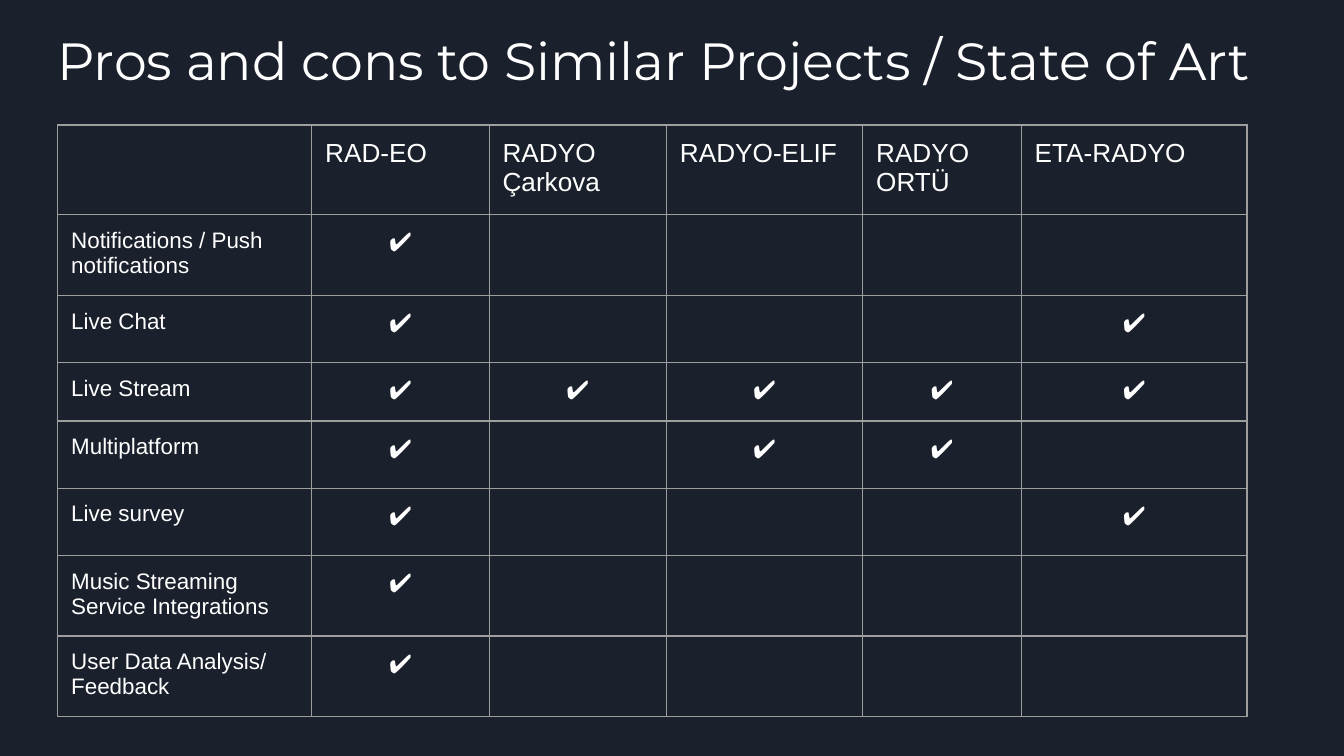
from dataclasses import dataclass

from lxml.etree import SubElement
from pptx import Presentation
from pptx.dml.color import RGBColor
from pptx.enum.text import MSO_ANCHOR, PP_ALIGN as Align
from pptx.oxml.ns import qn
from pptx.util import Inches, Pt

NAVY, WHITE, GREY = "1B212C", "FFFFFF", "9E9E9E"
CHECK = "✔️"


@dataclass(frozen=True)
class Feature:
    label: str
    offered_by: tuple[int, ...]
    height: float = 0.42
    bold_check: bool = False


STATIONS = ["RAD-EO", "RADYO Çarkova", "RADYO-ELIF", "RADYO ORTÜ", "ETA-RADYO"]
COLUMN_WIDTHS = [1.89, 1.32, 1.32, 1.46, 1.18, 1.68]
HEADER_HEIGHT = 0.42
FEATURES = [
    Feature("Notifications / Push notifications", (1,)),
    Feature("Live Chat", (1, 5)),
    Feature("Live Stream", (1, 2, 3, 4, 5), bold_check=True),
    Feature("Multiplatform", (1, 3, 4)),
    Feature("Live survey", (1, 5), height=0.44),
    Feature("Music Streaming Service Integrations", (1,)),
    Feature("User Data Analysis/ Feedback", (1,)),
]


def color(value: str) -> RGBColor:
    return RGBColor.from_string(value)


def add_run(paragraph, text: str, size: float, font: str = "Arial", bold: bool = False) -> None:
    run = paragraph.add_run()
    run.text = text
    run.font.name = font
    run.font.size = Pt(size)
    run.font.bold = bold
    run.font.color.rgb = color(WHITE)


def add_borders(cell) -> None:
    properties = cell._tc.get_or_add_tcPr()
    for position, side in enumerate(("a:lnL", "a:lnR", "a:lnT", "a:lnB")):
        line = SubElement(properties, qn(side), w=str(Pt(0.75)))
        fill = SubElement(line, qn("a:solidFill"))
        SubElement(fill, qn("a:srgbClr"), val=GREY)
        properties.insert(position, line)


def style_cell(cell) -> None:
    cell.fill.background()
    cell.margin_left = cell.margin_right = Inches(0.1)
    cell.margin_top = cell.margin_bottom = Inches(0.1)
    add_borders(cell)


def add_title(slide, text: str) -> None:
    title = slide.shapes.add_textbox(Inches(0.36), Inches(0.23), Inches(9.27), Inches(1.22))
    frame = title.text_frame
    frame.word_wrap = True
    frame.vertical_anchor = MSO_ANCHOR.TOP
    frame.margin_left = frame.margin_right = Inches(0.07)
    frame.margin_top = frame.margin_bottom = Inches(0.04)
    paragraph = frame.paragraphs[0]
    paragraph.line_spacing = 0.89
    add_run(paragraph, text, 28, "Montserrat")


def add_comparison(slide) -> None:
    heights = [HEADER_HEIGHT] + [feature.height for feature in FEATURES]
    grid = slide.shapes.add_table(
        len(heights), len(COLUMN_WIDTHS), Inches(0.43), Inches(0.93),
        Inches(sum(COLUMN_WIDTHS)), Inches(sum(heights)),
    )
    table = grid.table
    table.first_row = table.horz_banding = False
    for column, width in zip(table.columns, COLUMN_WIDTHS):
        column.width = Inches(width)
    for row, height in zip(table.rows, heights):
        row.height = Inches(height)
    # A compact frame lets each row grow only as far as its text needs
    grid.width = grid.height = Inches(3.28)
    for cell in table.iter_cells():
        style_cell(cell)

    # Station names across the top
    for column, station in enumerate(STATIONS, start=1):
        add_run(table.cell(0, column).text_frame.paragraphs[0], station, 14)

    # One row per feature, with a check for each station that offers it
    for row, feature in enumerate(FEATURES, start=1):
        add_run(table.cell(row, 0).text_frame.paragraphs[0], feature.label, 12)
        for column in feature.offered_by:
            paragraph = table.cell(row, column).text_frame.paragraphs[0]
            paragraph.alignment = Align.CENTER
            add_run(paragraph, CHECK, 14, bold=feature.bold_check and column == 1)


def main() -> None:
    deck = Presentation()
    # Widescreen, 16:9
    deck.slide_width = Inches(10)
    deck.slide_height = deck.slide_width * 9 // 16
    slide = deck.slides.add_slide(deck.slide_layouts[6])
    slide.background.fill.solid()
    slide.background.fill.fore_color.rgb = color(NAVY)
    add_title(slide, "Pros and cons to Similar Projects / State of Art")
    add_comparison(slide)
    deck.save("out.pptx")


if __name__ == "__main__":
    main()
